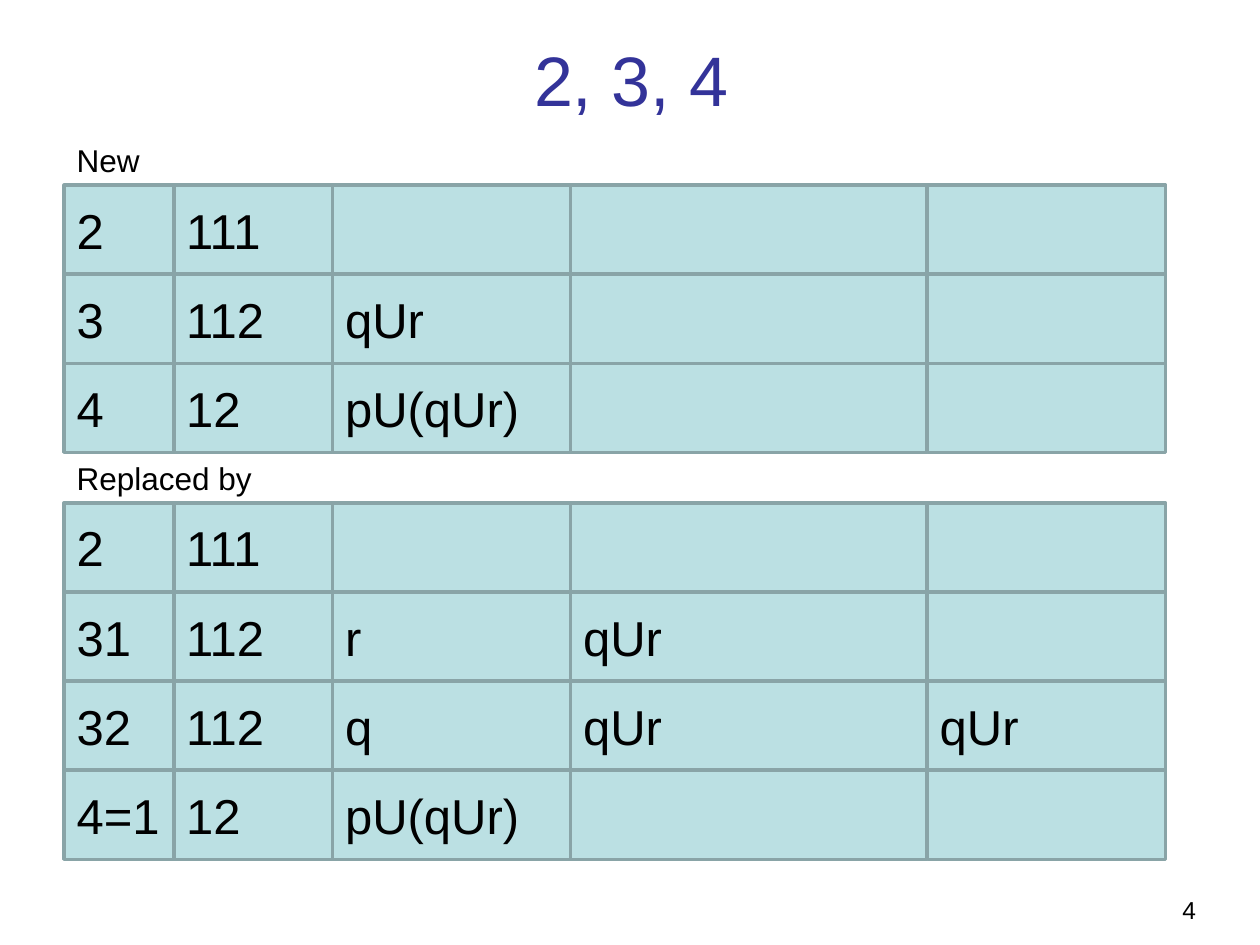
from dataclasses import dataclass
from itertools import accumulate

from pptx import Presentation
from pptx.dml.color import RGBColor
from pptx.enum.shapes import MSO_SHAPE
from pptx.enum.text import MSO_ANCHOR, PP_ALIGN
from pptx.util import Inches, Pt

RECTANGLE = MSO_SHAPE.RECTANGLE
TOP, MIDDLE, BOTTOM = MSO_ANCHOR.TOP, MSO_ANCHOR.MIDDLE, MSO_ANCHOR.BOTTOM
LEFT, CENTER, RIGHT = PP_ALIGN.LEFT, PP_ALIGN.CENTER, PP_ALIGN.RIGHT

COLORS = {"title": "333399", "text": "000000", "cell": "BBE0E3", "border": "89A4A7"}
FONT = "Arial"
GRID_LEFT = 0.51
COLUMN_WIDTHS = (0.87, 1.26, 1.89, 2.83, 1.89)
LABEL_WIDTH, LABEL_HEIGHT = 1.97, 0.4


@dataclass
class StateGrid:
    label: str
    top: float
    bottom: float
    rows: list[tuple[str, ...]]


@dataclass
class Caption:
    text: str
    left: float
    top: float
    width: float
    height: float
    size: int
    color: str = "text"
    align: PP_ALIGN = LEFT
    anchor: MSO_ANCHOR = TOP
    bottom_inset: float = 0.05


GRIDS = [
    StateGrid("New", 1.47, 3.59, [
        ("2", "111", "", "", ""),
        ("3", "112", "qUr", "", ""),
        ("4", "12", "pU(qUr)", "", ""),
    ]),
    StateGrid("Replaced by", 3.99, 6.82, [
        ("2", "111", "", "", ""),
        ("31", "112", "r", "qUr", ""),
        ("32", "112", "q", "qUr", "qUr"),
        ("4=1", "12", "pU(qUr)", "", ""),
    ]),
]


def color(name: str) -> RGBColor:
    return RGBColor.from_string(COLORS[name])


def write(box, text: str, size: int, color_name: str, align: PP_ALIGN) -> None:
    para = box.text_frame.paragraphs[0]
    para.alignment = align
    span = para.add_run()
    span.text = text
    span.font.name = FONT
    span.font.size = Pt(size)
    span.font.color.rgb = color(color_name)


def draw_caption(page, caption: Caption) -> None:
    box = page.shapes.add_textbox(Inches(caption.left), Inches(caption.top),
                                  Inches(caption.width), Inches(caption.height))
    frame = box.text_frame
    frame.word_wrap = True
    frame.vertical_anchor = caption.anchor
    frame.margin_bottom = Inches(caption.bottom_inset)
    write(box, caption.text, caption.size, caption.color, caption.align)


def draw_cell(page, text: str, left: float, top: float, width: float, height: float) -> None:
    box = page.shapes.add_shape(RECTANGLE, Inches(left), Inches(top),
                                Inches(width), Inches(height))
    box.shadow.inherit = False
    box.fill.solid()
    box.fill.fore_color.rgb = color("cell")
    box.line.color.rgb = color("border")
    box.line.width = Pt(2)
    if text:
        box.text_frame.word_wrap = True
        box.text_frame.vertical_anchor = MIDDLE
        write(box, text, 28, "text", LEFT)


def draw_grid(page, grid: StateGrid) -> None:
    height = (grid.bottom - grid.top) / len(grid.rows)
    lefts = list(accumulate(COLUMN_WIDTHS, initial=GRID_LEFT))
    for index, row in enumerate(grid.rows):
        for text, left, width in zip(row, lefts, COLUMN_WIDTHS):
            draw_cell(page, text, left, grid.top + index * height, width, height)
    draw_caption(page, Caption(grid.label, GRID_LEFT, grid.top - LABEL_HEIGHT,
                               LABEL_WIDTH, LABEL_HEIGHT, 18))


def main() -> None:
    deck = Presentation()
    deck.slide_width, deck.slide_height = Inches(10), Inches(7.5)
    page = deck.slides.add_slide(deck.slide_layouts[6])

    # Page number and title
    draw_caption(page, Caption("4", 6.42, 6.82, 3.17, 0.52, 14,
                               align=RIGHT, anchor=BOTTOM, bottom_inset=0))
    draw_caption(page, Caption("2, 3, 4", GRID_LEFT, 0, 9, 1.25, 40,
                               color="title", align=CENTER, anchor=MIDDLE))

    # State grids with their labels
    for grid in GRIDS:
        draw_grid(page, grid)

    deck.save("out.pptx")


if __name__ == "__main__":
    main()
